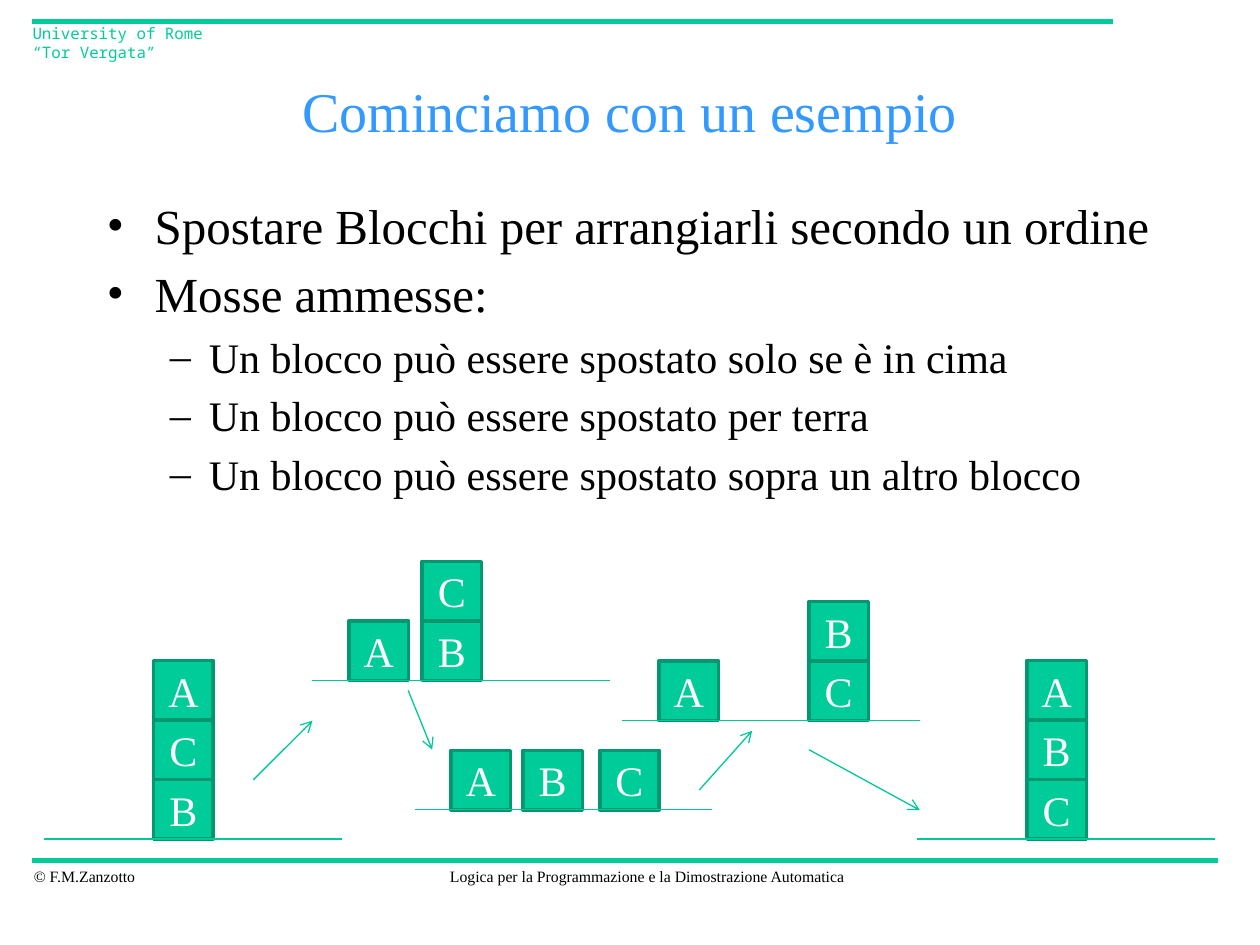
from dataclasses import dataclass

from lxml.etree import SubElement
from pptx import Presentation
from pptx.dml.color import RGBColor
from pptx.enum.shapes import MSO_CONNECTOR as Connector, MSO_SHAPE as Preset
from pptx.enum.text import MSO_ANCHOR as Anchor, PP_ALIGN as Align
from pptx.oxml.ns import qn
from pptx.slide import Slide
from pptx.text.text import _Paragraph as Paragraph
from pptx.util import Inches, Pt

GREEN = RGBColor(0x00, 0xCC, 0x99)
DARK_GREEN = RGBColor(0x00, 0x97, 0x71)
LINE_GREEN = RGBColor(0x00, 0xC8, 0x96)
BLUE = RGBColor(0x33, 0x99, 0xFF)
BLACK = RGBColor(0x00, 0x00, 0x00)
WHITE = RGBColor(0xFF, 0xFF, 0xFF)
SERIF, MONO = "Times New Roman", "Noto Sans Mono"

# Positions are percentages of the slide's width and height.
SLIDE_WIDTH, SLIDE_HEIGHT = Inches(10), Inches(7.5)
BLOCK_WIDTH, BLOCK_HEIGHT = 4.72, 6.3
GROUND_WIDTH = 23.65


@dataclass(frozen=True)
class Style:
    size: float
    color: RGBColor
    font: str = SERIF


@dataclass(frozen=True)
class Label:
    left: float
    top: float
    width: float
    height: float
    lines: tuple[str, ...]
    style: Style
    align: Align = Align.LEFT
    anchor: Anchor = Anchor.TOP
    wrap: bool = False


@dataclass(frozen=True)
class Level:
    style: Style
    bullet: str
    margin: float
    hanging: float


@dataclass(frozen=True)
class Stack:
    left: float
    blocks: str  # from the ground up


@dataclass(frozen=True)
class Scene:
    left: float
    ground: float
    stacks: tuple[Stack, ...]


@dataclass(frozen=True)
class Line:
    start: tuple[float, float]
    end: tuple[float, float]
    color: RGBColor = LINE_GREEN
    weight: float = 0.75
    arrow: bool = False


SMALL = Style(9, BLACK)
BLOCK_STYLE = Style(24, WHITE)
LABELS = (
    Label(1.7, 91.07, 10.2, 3.3, ("© F.M.Zanzotto",), SMALL),
    Label(34.5, 91.07, 33.7, 3.3,
          ("Logica per la Programmazione e la Dimostrazione Automatica",),
          SMALL, Align.CENTER),
    Label(1.6, 1.87, 17.1, 3.3, ("University of Rome", "“Tor Vergata”"),
          Style(9, GREEN, MONO)),
    Label(7.5, 6.67, 85, 10, ("Cominciamo con un esempio",),
          Style(32, BLUE), Align.CENTER, Anchor.MIDDLE, True),
)
RULES = (
    Line((2.5, 91.07), (96.7, 91.07), GREEN, 3),
    Line((2.5, 2.27), (88.3, 2.27), GREEN, 3),
)
LEVELS = (
    Level(Style(28, BLACK), "•", 0.38, 0.38),
    Level(Style(24, BLACK), "–", 0.81, 0.31),
)
BULLETS = (
    (0, "Spostare Blocchi per arrangiarli secondo un ordine"),
    (0, "Mosse ammesse:"),
    (1, "Un blocco può essere spostato solo se è in cima"),
    (1, "Un blocco può essere spostato per terra"),
    (1, "Un blocco può essere spostato sopra un altro blocco"),
)
SCENES = (
    Scene(3.5, 88.8, (Stack(12.2, "BCA"),)),
    Scene(72.8, 88.8, (Stack(81.5, "CBA"),)),
    Scene(24.8, 72, (Stack(27.7, "A"), Stack(33.5, "BC"))),
    Scene(32.9, 85.7, (Stack(35.8, "A"), Stack(41.5, "B"), Stack(47.6, "C"))),
    Scene(49.4, 76.27, (Stack(52.3, "A"), Stack(64.2, "CB"))),
)
MOVES = (
    Line((20.1, 82.53), (24.8, 76.27), arrow=True),
    Line((32.4, 73.07), (34.3, 79.33), arrow=True),
    Line((55.5, 83.6), (59.7, 77.33), arrow=True),
    Line((64.2, 79.33), (73, 85.73), arrow=True),
)


def across(percent: float) -> int:
    return round(SLIDE_WIDTH * percent / 100)


def down(percent: float) -> int:
    return round(SLIDE_HEIGHT * percent / 100)


def add_run(paragraph: Paragraph, text: str, style: Style) -> None:
    run = paragraph.add_run()
    run.text = text
    run.font.size = Pt(style.size)
    run.font.name = style.font
    run.font.color.rgb = style.color


def add_label(slide: Slide, label: Label) -> None:
    box = slide.shapes.add_textbox(across(label.left), down(label.top),
                                   across(label.width), down(label.height))
    frame = box.text_frame
    frame.word_wrap = label.wrap
    frame.vertical_anchor = label.anchor
    paragraph = frame.paragraphs[0]
    paragraph.alignment = label.align
    for index, text in enumerate(label.lines):
        if index:
            paragraph.add_line_break()
        add_run(paragraph, text, label.style)


def set_bullet(paragraph: Paragraph, level: Level) -> None:
    """Hang the bullet and put a fifth of a line before the paragraph."""
    properties = paragraph._p.get_or_add_pPr()
    properties.set("marL", str(Inches(level.margin)))
    properties.set("indent", str(-Inches(level.hanging)))
    spacing = SubElement(properties, qn("a:spcBef"))
    SubElement(spacing, qn("a:spcPct"), val="20000")
    SubElement(properties, qn("a:buFont"), typeface=SERIF)
    SubElement(properties, qn("a:buChar"), char=level.bullet)


def add_bullets(slide: Slide) -> None:
    box = slide.shapes.add_textbox(across(7.5), down(20), across(85), down(69))
    frame = box.text_frame
    frame.word_wrap = True
    for index, (depth, text) in enumerate(BULLETS):
        paragraph = frame.add_paragraph() if index else frame.paragraphs[0]
        paragraph.level = depth
        set_bullet(paragraph, LEVELS[depth])
        add_run(paragraph, text, LEVELS[depth].style)


def add_line(slide: Slide, line: Line) -> None:
    (x1, y1), (x2, y2) = line.start, line.end
    connector = slide.shapes.add_connector(
        Connector.STRAIGHT, across(x1), down(y1), across(x2), down(y2))
    connector.line.color.rgb = line.color
    connector.line.width = Pt(line.weight)
    if line.arrow:
        SubElement(connector.line._get_or_add_ln(), qn("a:tailEnd"), type="arrow")
    SubElement(connector._element.spPr, qn("a:effectLst"))


def add_block(slide: Slide, left: float, top: float, letter: str) -> None:
    block = slide.shapes.add_shape(Preset.RECTANGLE, across(left), down(top),
                                   across(BLOCK_WIDTH), down(BLOCK_HEIGHT))
    block.shadow.inherit = False
    block.fill.solid()
    block.fill.fore_color.rgb = GREEN
    block.line.color.rgb = DARK_GREEN
    block.line.width = Pt(2)
    block.text_frame.vertical_anchor = Anchor.MIDDLE
    paragraph = block.text_frame.paragraphs[0]
    paragraph.alignment = Align.CENTER
    add_run(paragraph, letter, BLOCK_STYLE)


def add_scene(slide: Slide, scene: Scene) -> None:
    for stack in scene.stacks:
        for row, letter in enumerate(stack.blocks, start=1):
            add_block(slide, stack.left, scene.ground - row * BLOCK_HEIGHT, letter)
    add_line(slide, Line((scene.left, scene.ground),
                         (scene.left + GROUND_WIDTH, scene.ground)))


def main() -> None:
    presentation = Presentation()
    presentation.slide_width, presentation.slide_height = SLIDE_WIDTH, SLIDE_HEIGHT
    slide = presentation.slides.add_slide(presentation.slide_layouts[6])
    for rule in RULES:
        add_line(slide, rule)
    for label in LABELS:
        add_label(slide, label)
    add_bullets(slide)
    for scene in SCENES:
        add_scene(slide, scene)
    for move in MOVES:
        add_line(slide, move)
    presentation.save("out.pptx")


if __name__ == "__main__":
    main()
